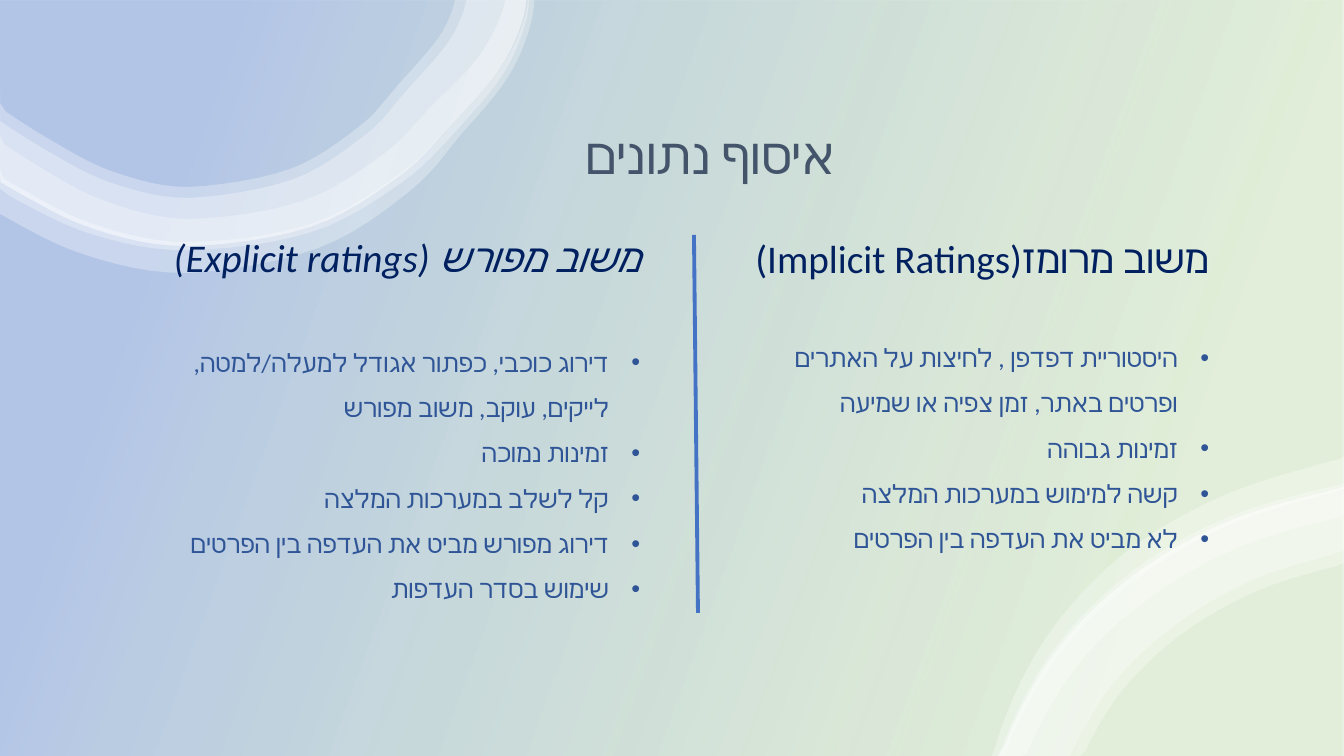
from math import hypot

from lxml.etree import SubElement
from pptx import Presentation
from pptx.dml.color import RGBColor
from pptx.enum.shapes import MSO_CONNECTOR, MSO_SHAPE
from pptx.enum.text import MSO_ANCHOR, MSO_AUTO_SIZE, PP_ALIGN
from pptx.oxml.ns import qn
from pptx.util import Pt

WIDTH, HEIGHT = 1344, 756
EMU_PER_PX = 12192000 / WIDTH
CURVE_STEPS = 6
STATION_GAP = 3 * CURVE_STEPS
BULLET_INDENT = 31

FONT = "Calibri"
WHITE = RGBColor(0xFF, 0xFF, 0xFF)
GREEN = RGBColor(0x70, 0xAD, 0x47)
BLUE = RGBColor(0x44, 0x72, 0xC4)
SLATE = RGBColor(0x44, 0x54, 0x6A)
NAVY = RGBColor(0x00, 0x20, 0x60)
BODY_BLUE = RGBColor(0x2F, 0x55, 0x97)

# position, colour, opacity in percent
GRADIENT = [(0.16, GREEN, 20), (0.85, BLUE, 40)]

TITLE = "איסוף נתונים"
TITLE_BOX = (393, 105, 634, 106)

COLUMNS = [
    {
        "box": (154, 228, 496, 378),
        "heading": "משוב מפורש (Explicit ratings)",
        "italic": True,
        "gap": 37,
        "bullets": [
            "דירוג כוכבי, כפתור אגודל למעלה/למטה, לייקים, עוקב, משוב מפורש",
            "זמינות נמוכה",
            "קל לשלב במערכות המלצה",
            "דירוג מפורש מביט את העדפה בין הפרטים",
            "שימוש בסדר העדפות",
        ],
    },
    {
        "box": (729, 229, 490, 393),
        "heading": "משוב מרומז(Implicit Ratings)",
        "italic": False,
        "gap": 33,
        "bullets": [
            "היסטוריית דפדפן , לחיצות על האתרים ופרטים באתר, זמן צפיה או שמיעה",
            "זמינות גבוהה",
            "קשה למימוש במערכות המלצה",
            "לא מביט את העדפה בין הפרטים",
        ],
    },
]
DIVIDER = (694, 235, 698, 613)

# Each swirl is a guide curve with ribbons beside it. A ribbon has two edges,
# given as distances from the guide at every third anchor.
SWIRLS = [
    {
        "guide": [(526, -30), (524, 15), (499, 70), (449, 127), (398, 177),
                  (310, 227), (188, 246), (94, 229), (14, 190), (-60, 143)],
        "ribbons": [
            ((2, 0, -4, -5), (6, 14, 27, 28)),
            ((-19, -27, -27, -36), (1, 8, 4, 9)),
            ((-61, -56, -48, -52), (0, 0, 0, 0)),
            ((-73, -66, -59, -63), (0, 0, 0, 0)),
        ],
    },
    {
        "guide": [(985, 815), (1010, 732), (1060, 646), (1135, 574),
                  (1229, 521), (1333, 490), (1400, 478)],
        "ribbons": [
            ((3, 23, 31), (-3, -5, -1)),
            ((0, 0, 0), (-77, -76, -74)),
            ((1, 4, 4), (-22, -28, -28)),
            ((0, 0, 0), (-65, -65, -61)),
        ],
    },
]


def emu(*lengths):
    return [round(length * EMU_PER_PX) for length in lengths]


def set_opacity(color_element, percent):
    SubElement(color_element, qn("a:alpha")).set("val", str(percent * 1000))


def smooth(anchors):
    """Return points on a Catmull-Rom curve through the anchors."""
    padded = [anchors[0], *anchors, anchors[-1]]
    points = []
    for window in zip(padded, padded[1:], padded[2:], padded[3:]):
        for step in range(CURVE_STEPS):
            t = step / CURVE_STEPS
            points.append(tuple(
                b + t / 2 * (c - a + t * (2 * a - 5 * b + 4 * c - d
                                          + t * (3 * b - a - 3 * c + d)))
                for a, b, c, d in zip(*window)))
    return points + [anchors[-1]]


def offset_edge(curve, distances):
    """Shift the curve sideways by the distances, keeping it on the slide."""
    edge = []
    for index, (x, y) in enumerate(curve):
        station = min(index // STATION_GAP, len(distances) - 2)
        share = index / STATION_GAP - station
        distance = distances[station] * (1 - share) + distances[station + 1] * share
        before, after = curve[max(index - 1, 0)], curve[min(index + 1, len(curve) - 1)]
        dx, dy = after[0] - before[0], after[1] - before[1]
        length = hypot(dx, dy)
        edge.append((min(max(x + distance * dy / length, 0), WIDTH),
                     min(max(y - distance * dx / length, 0), HEIGHT)))
    return edge


def add_background(slide):
    background = slide.shapes.add_shape(MSO_SHAPE.RECTANGLE, *emu(0, 0, WIDTH, HEIGHT))
    background.shadow.inherit = False
    background.line.fill.background()
    background.fill.gradient()
    background.fill.gradient_angle = 160
    for stop, (position, color, _) in zip(background.fill.gradient_stops, GRADIENT):
        stop.position = position
        stop.color.rgb = color
    colors = list(background.element.spPr.iter(qn("a:srgbClr")))
    for color_element, (_, _, opacity) in zip(colors, GRADIENT):
        set_opacity(color_element, opacity)


def add_ribbon(slide, curve, first_distances, second_distances):
    outline = offset_edge(curve, first_distances) + offset_edge(curve, second_distances)[::-1]
    points = [emu(*point) for point in outline]
    builder = slide.shapes.build_freeform(*points[0])
    builder.add_line_segments(points[1:])
    ribbon = builder.convert_to_shape()
    ribbon.shadow.inherit = False
    ribbon.line.fill.background()
    ribbon.fill.solid()
    ribbon.fill.fore_color.rgb = WHITE
    set_opacity(ribbon.element.spPr.find(".//" + qn("a:srgbClr")), 30)


def add_text_frame(slide, box):
    text_frame = slide.shapes.add_textbox(*emu(*box)).text_frame
    text_frame.word_wrap = True
    return text_frame


def add_run(paragraph, text, size, color, italic=False):
    run = paragraph.add_run()
    run.text = text
    font = run.font
    font.name, font.size, font.italic = FONT, Pt(size), italic
    font.color.rgb = color
    SubElement(run._r.get_or_add_rPr(), qn("a:cs")).set("typeface", FONT)


def add_column(slide, column):
    text_frame = add_text_frame(slide, column["box"])
    text_frame.auto_size = MSO_AUTO_SIZE.SHAPE_TO_FIT_TEXT
    heading = text_frame.paragraphs[0]
    heading.space_after = Pt(column["gap"])
    add_run(heading, column["heading"], 28, NAVY, column["italic"])
    for text in column["bullets"]:
        paragraph = text_frame.add_paragraph()
        paragraph.line_spacing = 1.5
        add_run(paragraph, text, 18, BODY_BLUE)
        properties = paragraph._p.get_or_add_pPr()
        indent, = emu(BULLET_INDENT)
        properties.set("marL", str(indent))
        properties.set("indent", str(-indent))
        SubElement(properties, qn("a:buFont")).set("typeface", "Arial")
        SubElement(properties, qn("a:buChar")).set("char", "•")
    for paragraph in text_frame.paragraphs:
        paragraph.alignment = PP_ALIGN.RIGHT
        paragraph._p.get_or_add_pPr().set("rtl", "1")


def main():
    presentation = Presentation()
    presentation.slide_width, presentation.slide_height = emu(WIDTH, HEIGHT)
    slide = presentation.slides.add_slide(presentation.slide_layouts[6])
    add_background(slide)
    for swirl in SWIRLS:
        curve = smooth(swirl["guide"])
        for ribbon in swirl["ribbons"]:
            add_ribbon(slide, curve, *ribbon)
    title_frame = add_text_frame(slide, TITLE_BOX)
    title_frame.vertical_anchor = MSO_ANCHOR.MIDDLE
    title = title_frame.paragraphs[0]
    title.alignment = PP_ALIGN.CENTER
    title.line_spacing = 0.9
    add_run(title, TITLE, 36, SLATE)
    for column in COLUMNS:
        add_column(slide, column)
    divider = slide.shapes.add_connector(MSO_CONNECTOR.STRAIGHT, *emu(*DIVIDER))
    divider.line.color.rgb = BLUE
    divider.line.width = Pt(2.75)
    SubElement(divider.element.spPr, qn("a:effectLst"))
    presentation.save("out.pptx")


if __name__ == "__main__":
    main()
